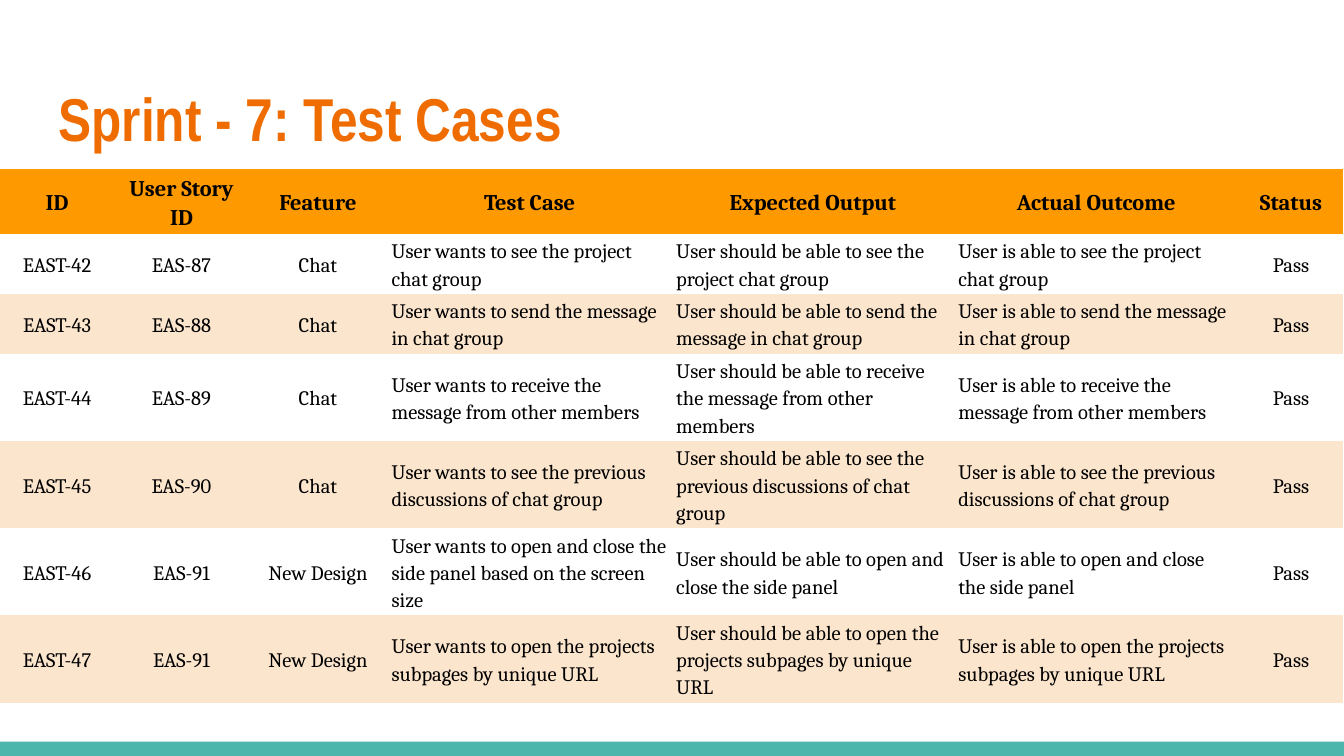
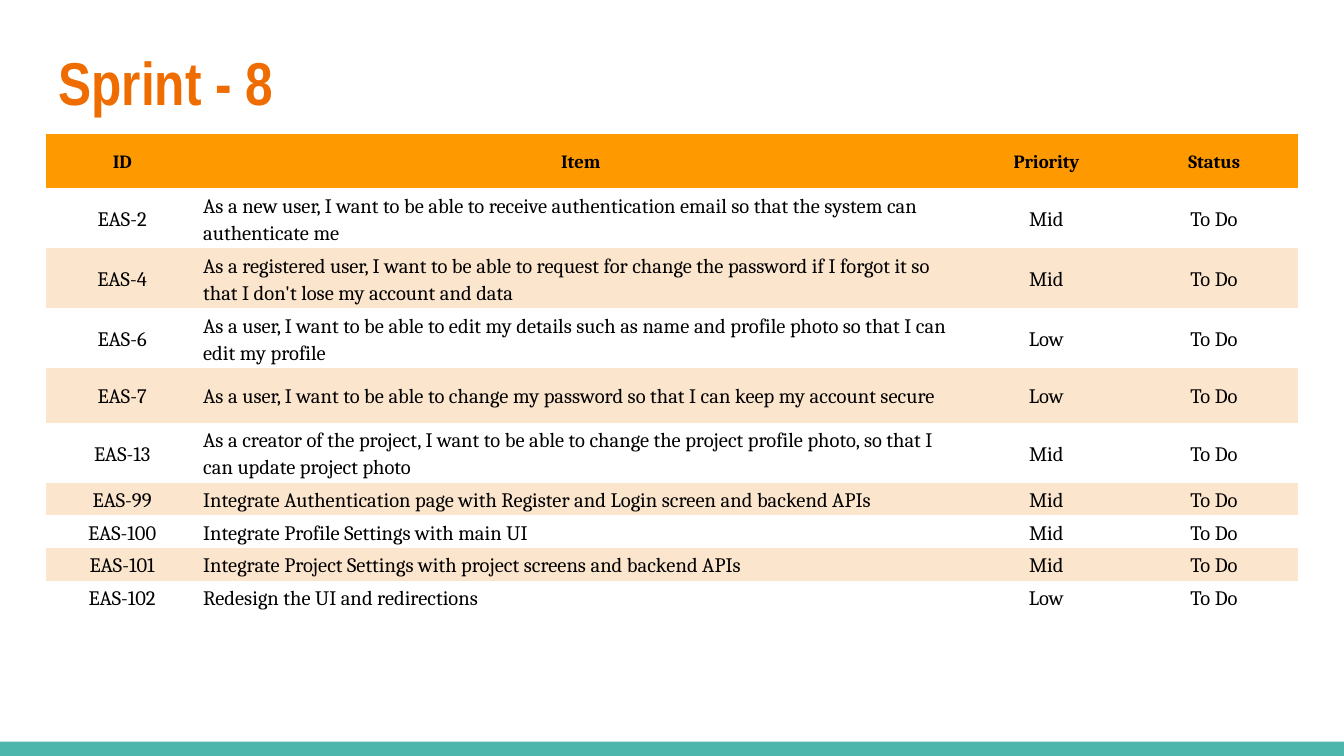
from pptx import Presentation
from pptx.dml.color import RGBColor
from pptx.enum.shapes import MSO_SHAPE
from pptx.enum.text import MSO_ANCHOR, MSO_AUTO_SIZE, PP_ALIGN
from pptx.util import Cm, Pt

# Shared look
WIDTH, HEIGHT = 25.4, 14.29
MARGIN = 0.86
BAND = 0.27
TITLE_COLOR, TEAL = "EF6C00", "4DB6AC"
HEAD_FILL, ROW_FILL, BLACK = "FF9900", "FCE5CD", "000000"
TITLE_FONT, BODY_FONT = "Arial Narrow", "Cambria"
PLAIN_STYLE = "{2D5ABB26-0587-4C30-8999-92F81FD0307C}"
TALL, SHORT = 1.03, 0.58

# Test cases: ID, story, feature, what the user wants, what the user can do
CASE_HEAD = ["ID", "User Story ID", "Feature", "Test Case",
             "Expected Output", "Actual Outcome", "Status"]
CASES = [
    ("EAST-42", "EAS-87", "Chat", "see the project chat group", None),
    ("EAST-43", "EAS-88", "Chat", "send the message in chat group", None),
    ("EAST-44", "EAS-89", "Chat",
     "receive the message from other members", None),
    ("EAST-45", "EAS-90", "Chat",
     "see the previous discussions of chat group", None),
    ("EAST-46", "EAS-91", "New Design",
     "open and close the side panel based on the screen size",
     "open and close the side panel"),
    ("EAST-47", "EAS-91", "New Design",
     "open the projects subpages by unique URL", None),
]

# Backlog: ID, item, priority
ITEM_HEAD = ["ID", "Item", "Priority", "Status"]
ITEMS = [
    ("EAS-2", "As a new user, I want to be able to receive authentication "
     "email so that the system can authenticate me", "Mid"),
    ("EAS-4", "As a registered user, I want to be able to request for change "
     "the password if I forgot it so that I don't lose my account and data",
     "Mid"),
    ("EAS-6", "As a user, I want to be able to edit my details such as name "
     "and profile photo so that I can edit my profile", "Low"),
    ("EAS-7", "As a user, I want to be able to change my password so that I "
     "can keep my account secure", "Low"),
    ("EAS-13", "As a creator of the project, I want to be able to change the "
     "project profile photo, so that I can update project photo", "Mid"),
    ("EAS-99", "Integrate Authentication page with Register and Login screen "
     "and backend APIs", "Mid"),
    ("EAS-100", "Integrate Profile Settings with main UI", "Mid"),
    ("EAS-101", "Integrate Project Settings with project screens and backend "
     "APIs", "Mid"),
    ("EAS-102", "Redesign the UI and redirections", "Low"),
]


def paint(color, code):
    color.rgb = RGBColor.from_string(code)


def add_run(para, text, font, size, code, bold):
    run = para.add_run()
    run.text = text
    run.font.name = font
    run.font.size = Pt(size)
    run.font.bold = bold
    paint(run.font.color, code)


def add_band(slide):
    band = slide.shapes.add_shape(
        MSO_SHAPE.RECTANGLE, 0, Cm(HEIGHT - BAND), Cm(WIDTH), Cm(BAND))
    band.shadow.inherit = False
    band.fill.solid()
    paint(band.fill.fore_color, TEAL)
    band.line.fill.background()


def set_title(slide, text, top):
    title = slide.shapes.title
    title.left, title.top = Cm(MARGIN), Cm(top)
    title.width, title.height = Cm(WIDTH - 2 * MARGIN), Cm(1.96)
    frame = title.text_frame
    frame.auto_size = MSO_AUTO_SIZE.NONE
    frame.word_wrap = True
    frame.vertical_anchor = MSO_ANCHOR.MIDDLE
    frame.margin_left = frame.margin_right = Cm(0.25)
    frame.margin_top = frame.margin_bottom = Cm(0.25)
    para = frame.paragraphs[0]
    para.alignment = PP_ALIGN.LEFT
    add_run(para, text, TITLE_FONT, 32.4, TITLE_COLOR, True)


def add_slide(deck, text, top):
    slide = deck.slides.add_slide(deck.slide_layouts[5])
    add_band(slide)
    set_title(slide, text, top)
    return slide


def fill_cell(cell, text, size, bold, align, code):
    cell.margin_left = cell.margin_right = Cm(0.08)
    cell.margin_top = cell.margin_bottom = Cm(0.05)
    cell.vertical_anchor = MSO_ANCHOR.MIDDLE
    if code:
        cell.fill.solid()
        paint(cell.fill.fore_color, code)
    else:
        cell.fill.background()
    para = cell.text_frame.paragraphs[0]
    para.alignment = align
    para.line_spacing = 1.15
    add_run(para, text, BODY_FONT, size, BLACK, bold)


def add_grid(slide, left, top, widths, heights, rows, head_size, prose):
    """Draw a banded table; body cells in the prose columns align left."""
    frame = slide.shapes.add_table(
        len(rows), len(widths), Cm(left), Cm(top),
        Cm(sum(widths)), Cm(sum(heights)))
    table = frame.table
    table.first_row = table.horz_banding = False
    for style in frame.element.iter("{*}tableStyleId"):
        style.text = PLAIN_STYLE
    for col, width in zip(table.columns, widths):
        col.width = Cm(width)
    for row, height in zip(table.rows, heights):
        row.height = Cm(height)
    for r, row in enumerate(rows):
        head = r == 0
        code = HEAD_FILL if head else (None if r % 2 else ROW_FILL)
        for c, text in enumerate(row):
            left_side = c in prose and not head
            align = PP_ALIGN.LEFT if left_side else PP_ALIGN.CENTER
            fill_cell(table.cell(r, c), text, head_size if head else 11,
                      head, align, code)


def add_cases(deck):
    slide = add_slide(deck, "Sprint - 7: Test Cases", 1.24)
    rows = [CASE_HEAD]
    for code, story, feature, aim, deed in CASES:
        deed = deed or aim
        rows.append([code, story, feature, f"User wants to {aim}",
                     f"User should be able to {deed}",
                     f"User is able to {deed}", "Pass"])
    widths = [2.16, 2.54, 2.62, 5.38, 5.33, 5.38, 1.98]
    add_grid(slide, 0, 3.2, widths, [TALL] * len(rows), rows, 12, {3, 4, 5})


def add_items(deck):
    slide = add_slide(deck, "Sprint - 8", 0.56)
    rows = [ITEM_HEAD] + [[*item, "To Do"] for item in ITEMS]
    widths = [2.9, 14.43, 3.17, 3.17]
    heights = [TALL] * 6 + [SHORT] * 4
    add_grid(slide, MARGIN, 2.53, widths, heights, rows, 10, {1})


def main():
    deck = Presentation()
    deck.slide_width, deck.slide_height = Cm(WIDTH), Cm(HEIGHT)
    add_cases(deck)
    add_items(deck)
    deck.save("out.pptx")


if __name__ == "__main__":
    main()
